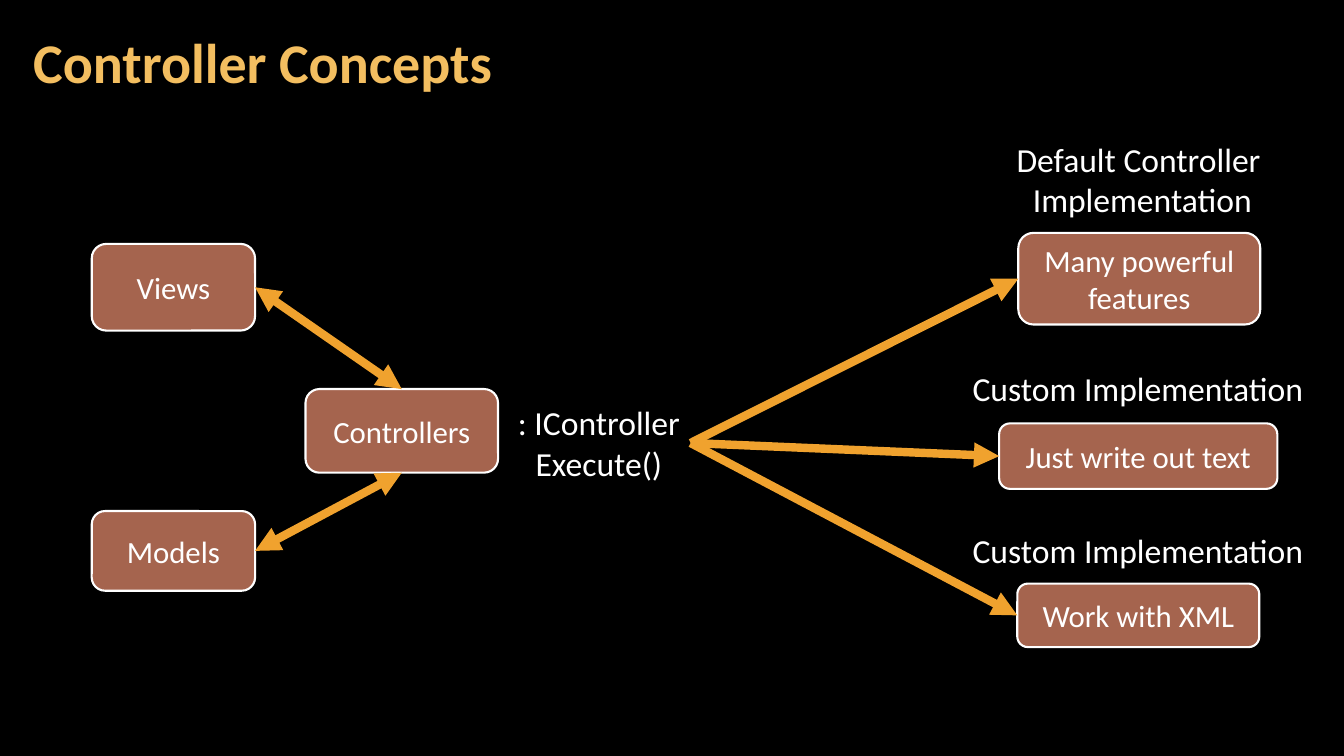
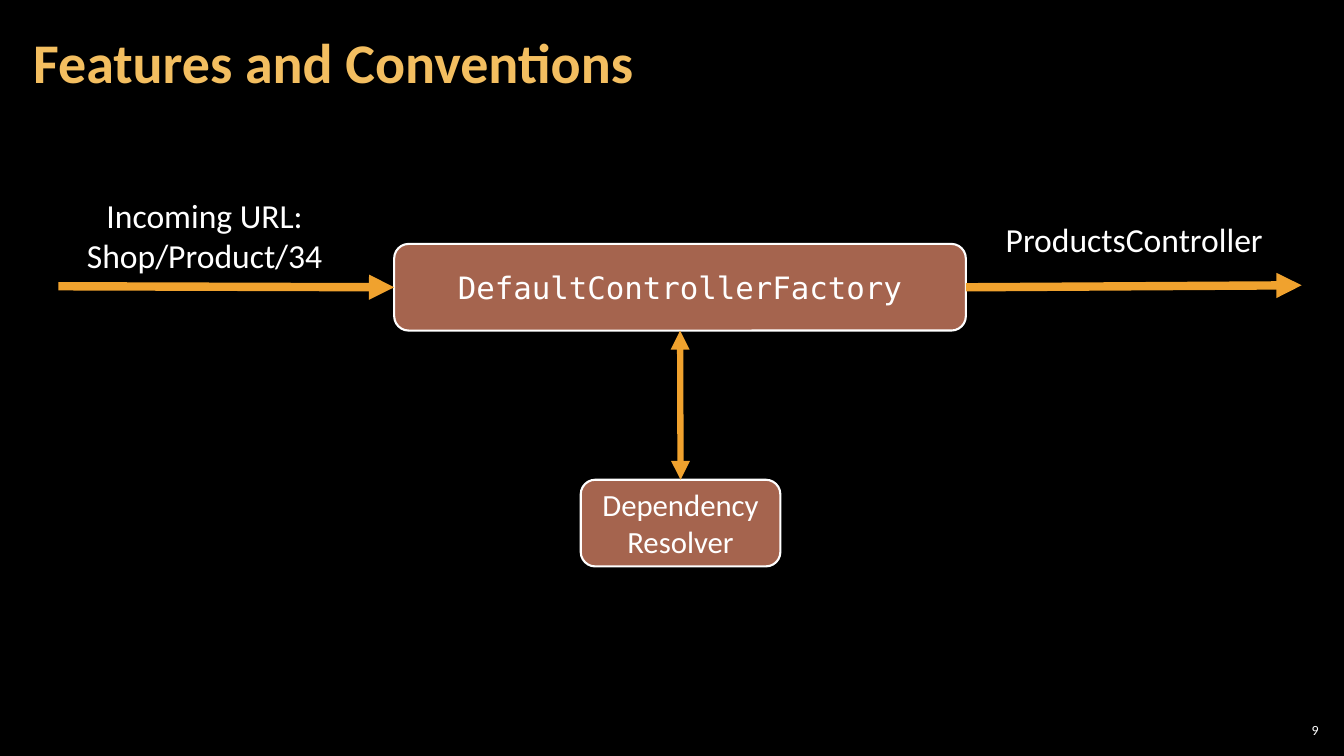
from lxml.etree import SubElement
from pptx import Presentation
from pptx.dml.color import RGBColor
from pptx.enum.shapes import MSO_CONNECTOR as Connector, MSO_SHAPE as Shape
from pptx.enum.text import MSO_ANCHOR as Anchor, PP_ALIGN as Align
from pptx.oxml.ns import qn
from pptx.util import Inches, Pt

BLACK = RGBColor(0x00, 0x00, 0x00)
WHITE = RGBColor(0xFF, 0xFF, 0xFF)
GOLD = RGBColor(0xF3, 0xBE, 0x60)
ORANGE = RGBColor(0xF0, 0xA2, 0x2E)
BROWN = RGBColor(0xA5, 0x64, 0x4E)
BODY, CODE = "Calibri", "DejaVu Sans Mono"
TOP, LEFT, BOTTOM, RIGHT = range(4)

INTERFACE = ": IController\nExecute()"
FACTORY = "DefaultControllerFactory"

SLIDES = [
    {
        "title": "Controller Concepts",
        "boxes": [
            ("Controllers", (3.03, 3.86, 1.91, 0.83), BODY),
            ("Views", (0.91, 2.42, 1.62, 0.86), BODY),
            ("Models", (0.91, 5.07, 1.62, 0.79), BODY),
            ("Many powerful features", (10.1, 2.31, 2.4, 0.91), BODY),
            ("Just write out text", (9.91, 4.2, 2.76, 0.65), BODY),
            ("Work with XML", (10.09, 5.79, 2.4, 0.63), BODY),
        ],
        "labels": [
            ("Default Controller \nImplementation", (9.97, 1.33, 2.72, 0.91)),
            (INTERFACE, (5.03, 3.94, 1.82, 0.91)),
            ("Custom Implementation", (9.53, 3.6, 3.51, 0.5)),
            ("Custom Implementation", (9.53, 5.21, 3.51, 0.5)),
        ],
        "arrows": [
            (("Views", RIGHT), ("Controllers", TOP), 6, True),
            (("Models", RIGHT), ("Controllers", BOTTOM), 6, True),
            ((INTERFACE, RIGHT), ("Many powerful features", LEFT), 6, False),
            ((INTERFACE, RIGHT), ("Just write out text", LEFT), 6, False),
            ((INTERFACE, RIGHT), ("Work with XML", LEFT), 6, False),
        ],
    },
    {
        "title": "Features and Conventions",
        "number": "9",
        "boxes": [
            (FACTORY, (3.91, 2.42, 5.67, 0.86), CODE),
            ("Dependency Resolver", (5.76, 4.76, 1.98, 0.86), BODY),
        ],
        "labels": [
            ("Incoming URL:\nShop/Product/34", (0.75, 1.88, 2.56, 0.91)),
            ("ProductsController", (9.86, 2.12, 2.78, 0.5)),
        ],
        "arrows": [
            ((0.58, 2.84), (FACTORY, LEFT), 6, False),
            ((FACTORY, RIGHT), (12.91, 2.83), 6, False),
            ((FACTORY, BOTTOM), ("Dependency Resolver", TOP), 4.5, True),
        ],
    },
]


def write(frame, text, size, color=WHITE, font=BODY, align=Align.CENTER, bold=False):
    frame.text = text
    for paragraph in frame.paragraphs:
        paragraph.alignment = align
        paragraph.font.name = font
        paragraph.font.size = Pt(size)
        paragraph.font.bold = bold
        paragraph.font.color.rgb = color


def add_text(slide, text, place, size, margin=0.1, wrap=True, anchor=Anchor.MIDDLE, **style):
    holder = slide.shapes.add_textbox(*map(Inches, place))
    frame = holder.text_frame
    frame.word_wrap = wrap
    frame.vertical_anchor = anchor
    frame.margin_left = frame.margin_right = Inches(margin)
    frame.margin_top = frame.margin_bottom = Inches(0.05)
    write(frame, text, size, **style)
    return holder


def add_box(slide, text, place, font):
    box = slide.shapes.add_shape(Shape.ROUNDED_RECTANGLE, *map(Inches, place))
    box.shadow.inherit = False
    box.fill.solid()
    box.fill.fore_color.rgb = BROWN
    box.line.color.rgb = WHITE
    box.line.width = Pt(1.5)
    box.text_frame.vertical_anchor = Anchor.MIDDLE
    write(box.text_frame, text, 22, font=font)
    return box


def add_arrow(slide, parts, start, end, width, two_way):
    points = [(0, 0) if isinstance(spot[0], str) else spot for spot in (start, end)]
    arrow = slide.shapes.add_connector(
        Connector.STRAIGHT, *(Inches(value) for point in points for value in point))
    for spot, connect in ((start, arrow.begin_connect), (end, arrow.end_connect)):
        if isinstance(spot[0], str):
            connect(parts[spot[0]], spot[1])
    arrow.line.color.rgb = ORANGE
    arrow.line.width = Pt(width)
    properties = arrow.element.spPr
    outline = properties.find(qn("a:ln"))
    for tip in ("a:headEnd", "a:tailEnd") if two_way else ("a:tailEnd",):
        SubElement(outline, qn(tip), type="triangle")
    SubElement(properties, qn("a:effectLst"))


def add_slide(deck, content):
    slide = deck.slides.add_slide(deck.slide_layouts[6])
    title = add_text(slide, content["title"], (0.21, 0.04, 10.47, 1.21), 40, margin=0.12,
                     color=GOLD, align=Align.LEFT, bold=True)
    title.text_frame.paragraphs[0].line_spacing = 0.9
    if "number" in content:
        add_text(slide, content["number"], (12.65, 7.14, 0.47, 0.21), 10, margin=0.04,
                 align=Align.RIGHT)
    parts = {text: add_box(slide, text, place, font)
             for text, place, font in content["boxes"]}
    for text, place in content["labels"]:
        parts[text] = add_text(slide, text, place, 24, wrap=False, anchor=Anchor.TOP)
    for arrow in content["arrows"]:
        add_arrow(slide, parts, *arrow)


def main():
    deck = Presentation()
    deck.slide_width, deck.slide_height = Inches(13.33), Inches(7.5)
    backdrop = deck.slide_master.background.fill
    backdrop.solid()
    backdrop.fore_color.rgb = BLACK
    for content in SLIDES:
        add_slide(deck, content)
    deck.save("out.pptx")


if __name__ == "__main__":
    main()
